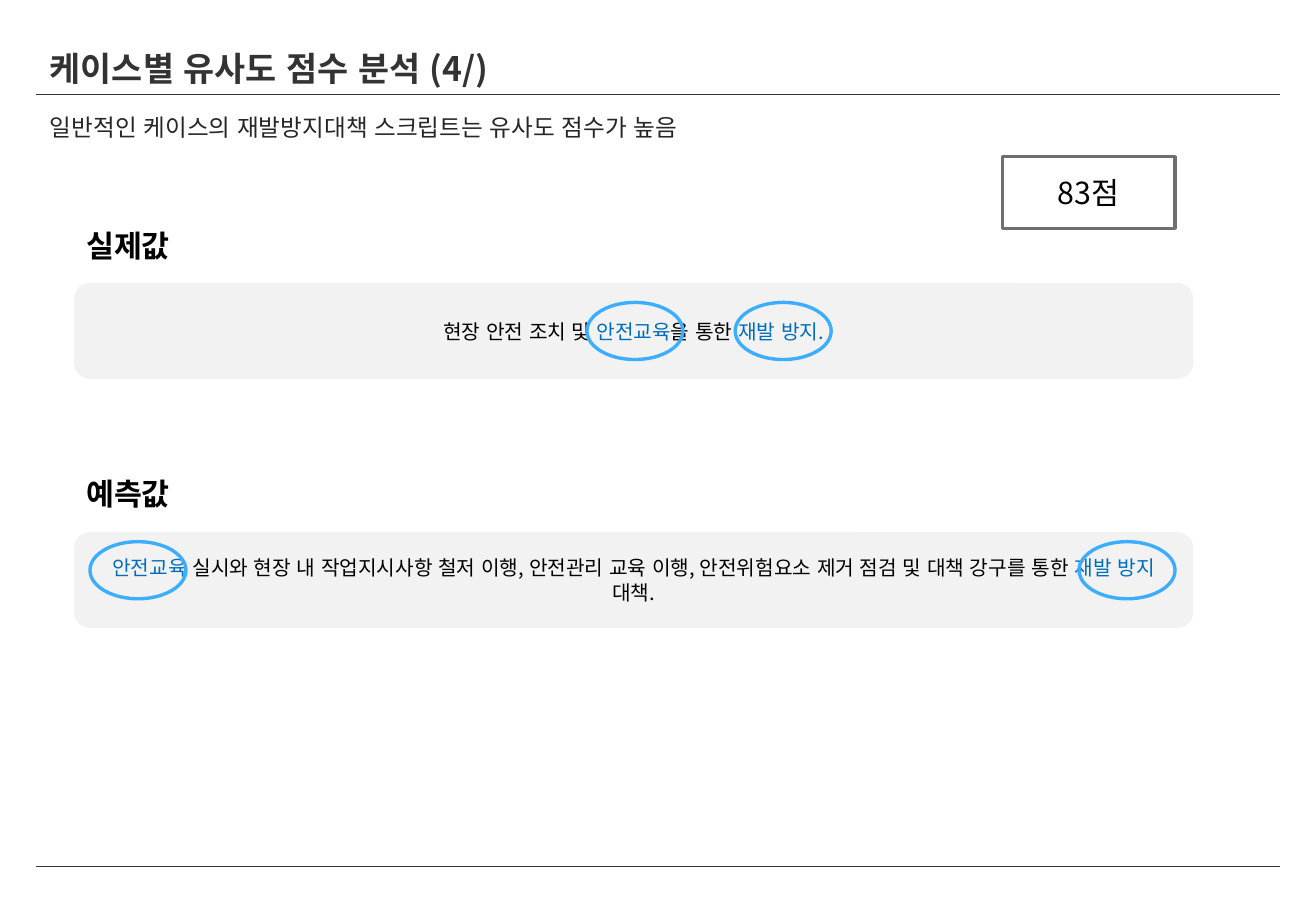
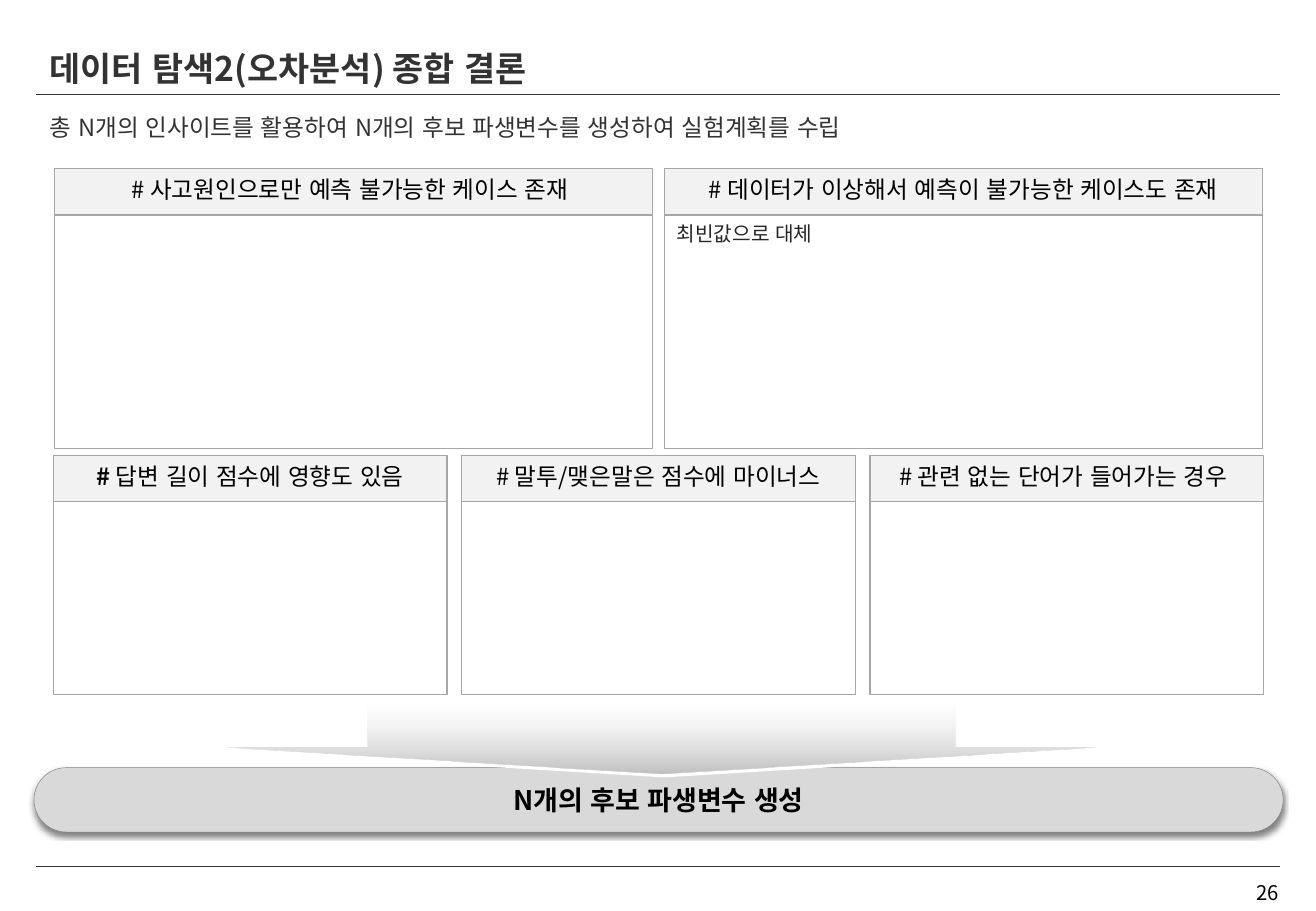
from dataclasses import dataclass

from lxml.etree import SubElement
from pptx import Presentation
from pptx.dml.color import RGBColor
from pptx.enum.lang import MSO_LANGUAGE_ID
from pptx.enum.shapes import MSO_CONNECTOR, MSO_SHAPE
from pptx.enum.text import MSO_ANCHOR, MSO_AUTO_SIZE, PP_ALIGN
from pptx.oxml import parse_xml
from pptx.oxml.ns import nsdecls, qn
from pptx.util import Inches, Pt


@dataclass(frozen=True)
class Theme:
    font: str = "Noto Sans CJK KR"
    title: str = "333333"
    lead: str = "262626"
    text: str = "000000"
    accent: str = "006DBB"
    ring: str = "3DAEFF"
    soft: str = "F2F2F2"
    white: str = "FFFFFF"
    score_edge: str = "6F6F6F"
    panel_edge: str = "A6A6A6"
    pill: str = "D9D9D9"
    pill_edge: str = "808080"
    title_size: int = 20
    heading_size: int = 18
    conclusion_size: int = 16
    lead_size: int = 14
    body_size: int = 12


THEME = Theme()
KEY = {"color": THEME.accent}
RULES = (0.78, 7.13)

SCORE_SLIDE = {
    "title": "케이스별 유사도 점수 분석 (4/)",
    "lead": "일반적인 케이스의 재발방지대책 스크립트는 유사도 점수가 높음",
    "lead_color": THEME.lead,
    "lead_box": (0.3, 0.83, 10.24, 0.94),
}
SCORE = "83점"
CASES = [
    {
        "label": "실제값", "label_top": 1.82, "label_fill": None,
        "top": 2.33, "ring_top": 2.49, "rings": (4.83, 6.05),
        "runs": [("현장 안전 조치 및 ", {}), ("안전교육", KEY), ("을 통한 ", {}), ("재발 방지.", KEY)],
    },
    {
        "label": "예측값", "label_top": 3.86, "label_fill": THEME.white,
        "top": 4.38, "ring_top": 4.46, "rings": (0.74, 8.88),
        "runs": [
            ("안전교육", KEY),
            (" 실시와 현장 내 작업지시사항 철저 이행, 안전관리 교육 이행, "
             "안전위험요소 제거 점검 및 대책 강구를 통한 ", {}),
            ("재발 방지 ", KEY),
            ("대책.", {}),
        ],
    },
]

CONCLUSION_SLIDE = {
    "title": "데이터 탐색2(오차분석) 종합 결론",
    "lead": "총 N개의 인사이트를 활용하여 N개의 후보 파생변수를 생성하여 실험계획를 수립",
    "lead_color": THEME.title,
    "lead_box": (0.3, 0.83, 10.32, 0.52),
}
PANEL_ROWS = [
    {
        "left": 0.45, "top": 1.39, "width": 4.92, "gap": 0.1, "height": 1.92, "fill": None,
        "panels": [
            ([("# 사고원인으로만 예측 불가능한 케이스 존재 ", {})], ""),
            ([("# 데이터가 이상해서 예측이 불가능한 케이스도 존재", {})], "최빈값으로 대체"),
        ],
    },
    {
        "left": 0.44, "top": 3.75, "width": 3.24, "gap": 0.12, "height": 1.59, "fill": THEME.white,
        "panels": [
            ([("# ", {"bold": True}), ("답변 길이 점수에 영향도 있음", {})], ""),
            ([("# 말투/맺은말은 점수에 마이너스", {})], ""),
            ([("# 관련 없는 단어가 들어가는 경우 ", {})], ""),
        ],
    },
]
PANEL_HEADER_HEIGHT = 0.38
CONCLUSION = "N개의 후보 파생변수 생성"
PAGE_NUMBER = "26"
ARROW_STOPS = [(0, "808080", 50), (50, "B7B7B7", 31), (100, "D9D9D9", 3)]


def apply(target, values):
    for name, value in values.items():
        setattr(target, name, value)


def write(shape, runs, size, color=THEME.text, bold=False, align=PP_ALIGN.LEFT,
          line_spacing=None, **frame_format):
    frame = shape.text_frame
    apply(frame, {"word_wrap": True, "auto_size": MSO_AUTO_SIZE.NONE, **frame_format})
    paragraph = frame.paragraphs[0]
    apply(paragraph, {"alignment": align, "line_spacing": line_spacing, "space_before": Pt(0)})
    for text, changes in runs:
        style = {"color": color, "bold": bold, **changes}
        run = paragraph.add_run()
        run.text = text
        apply(run.font, {"name": THEME.font, "size": Pt(size), "bold": style["bold"],
                         "language_id": MSO_LANGUAGE_ID.KOREAN})
        run.font.color.rgb = RGBColor.from_string(style["color"])
        SubElement(run.font._element, qn("a:ea")).set("typeface", THEME.font)
    return paragraph


def add_box(slide, kind, box, fill=None, edge=None, weight=0.75):
    shape = slide.shapes.add_shape(kind, *map(Inches, box))
    shape.shadow.inherit = False
    if fill:
        shape.fill.solid()
        shape.fill.fore_color.rgb = RGBColor.from_string(fill)
    else:
        shape.fill.background()
    if edge:
        shape.line.color.rgb = RGBColor.from_string(edge)
        shape.line.width = Pt(weight)
    else:
        shape.line.fill.background()
    return shape


def place(shape, box):
    apply(shape, dict(zip(("left", "top", "width", "height"), map(Inches, box))))


def start_slide(deck, content):
    slide = deck.slides.add_slide(deck.slide_layouts[1])
    for y in RULES:
        rule = slide.shapes.add_connector(
            MSO_CONNECTOR.STRAIGHT, Inches(0.3), Inches(y), Inches(10.53), Inches(y))
        rule.line.color.rgb = RGBColor.from_string(THEME.title)
        rule.line.width = Pt(0.5)
        SubElement(rule._element.spPr, qn("a:effectLst"))
    title, lead = slide.placeholders
    place(title, (0.31, 0.41, 6.67, 0.3))
    write(title, [(content["title"], {})], THEME.title_size, THEME.title, True,
          vertical_anchor=MSO_ANCHOR.MIDDLE)
    place(lead, content["lead_box"])
    paragraph = write(lead, [(content["lead"], {})], THEME.lead_size, content["lead_color"],
                      line_spacing=1.2, vertical_anchor=MSO_ANCHOR.TOP)
    properties = paragraph._p.get_or_add_pPr()
    properties.set("marL", "0")
    properties.set("indent", str(Inches(0.01)))
    SubElement(properties, qn("a:buNone"))
    return slide


def build_scores(deck):
    slide = start_slide(deck, SCORE_SLIDE)
    centred = {"align": PP_ALIGN.CENTER, "vertical_anchor": MSO_ANCHOR.MIDDLE}
    score = add_box(slide, MSO_SHAPE.RECTANGLE, (8.25, 1.29, 1.42, 0.59),
                    THEME.white, THEME.score_edge, 2)
    write(score, [(SCORE, {})], THEME.heading_size, **centred)
    for case in CASES:
        label = add_box(slide, MSO_SHAPE.RECTANGLE, (0.61, case["label_top"], 0.91, 0.4),
                        case["label_fill"])
        write(label, [(case["label"], {})], THEME.heading_size, bold=True, word_wrap=False,
              auto_size=MSO_AUTO_SIZE.SHAPE_TO_FIT_TEXT, vertical_anchor=MSO_ANCHOR.TOP)
        sentence = add_box(slide, MSO_SHAPE.ROUNDED_RECTANGLE,
                           (0.61, case["top"], 9.21, 0.79), THEME.soft)
        write(sentence, case["runs"], THEME.body_size, **centred,
              margin_left=Inches(0.15), margin_right=Inches(0.15))
        for left in case["rings"]:
            add_box(slide, MSO_SHAPE.OVAL, (left, case["ring_top"], 0.79, 0.47),
                    edge=THEME.ring, weight=2)


def add_panels(slide, row):
    for index, (heading, note) in enumerate(row["panels"]):
        left = row["left"] + index * (row["width"] + row["gap"])
        header = add_box(slide, MSO_SHAPE.RECTANGLE,
                         (left, row["top"], row["width"], PANEL_HEADER_HEIGHT),
                         THEME.soft, THEME.panel_edge)
        write(header, heading, THEME.lead_size, align=PP_ALIGN.CENTER,
              vertical_anchor=MSO_ANCHOR.TOP)
        panel = add_box(slide, MSO_SHAPE.RECTANGLE,
                        (left, row["top"] + PANEL_HEADER_HEIGHT, row["width"], row["height"]),
                        row["fill"], THEME.panel_edge)
        if note:
            write(panel, [(note, {})], THEME.body_size, THEME.lead,
                  vertical_anchor=MSO_ANCHOR.TOP)


def add_conclusion(slide):
    pill = add_box(slide, MSO_SHAPE.ROUNDED_RECTANGLE, (0.28, 6.32, 10.28, 0.53),
                   THEME.pill, THEME.pill_edge, 0.25)
    pill.adjustments[0] = 0.5
    pill._element.spPr.find(qn("a:effectLst")).append(parse_xml(
        f'<a:outerShdw {nsdecls("a")} blurRad="{Pt(3)}" dist="{Pt(2)}" dir="5400000" '
        'algn="t" rotWithShape="0"><a:srgbClr val="000000"><a:alpha val="50000"/>'
        '</a:srgbClr></a:outerShdw>'))
    write(pill, [(CONCLUSION, {})], THEME.conclusion_size, bold=True, align=PP_ALIGN.CENTER,
          word_wrap=False, vertical_anchor=MSO_ANCHOR.MIDDLE)

    stops = "".join(
        f'<a:gs pos="{position * 1000}"><a:srgbClr val="{color}">'
        f'<a:alpha val="{opacity * 1000}"/></a:srgbClr></a:gs>'
        for position, color, opacity in ARROW_STOPS)
    gradient = parse_xml(
        f'<a:gradFill {nsdecls("a")} rotWithShape="1"><a:gsLst>{stops}</a:gsLst>'
        '<a:lin ang="0" scaled="0"/></a:gradFill>')
    for left, top, fill in ((5.18, 2.53, THEME.white), (5.16, 2.5, None)):
        arrow = add_box(slide, MSO_SHAPE.LEFT_ARROW, (left, top, 0.57, 7.17), fill)
        arrow.rotation = 270
        arrow.adjustments[0] = 0.674
        arrow.adjustments[1] = 0.383
        if not fill:
            properties = arrow._element.spPr
            properties.replace(properties.find(qn("a:noFill")), gradient)


def build_conclusion(deck):
    slide = start_slide(deck, CONCLUSION_SLIDE)
    add_conclusion(slide)
    for row in PANEL_ROWS:
        add_panels(slide, row)
    page = slide.shapes.add_textbox(*map(Inches, (8.09, 7.2, 2.53, 0.29)))
    write(page, [(PAGE_NUMBER, {})], THEME.body_size, align=PP_ALIGN.RIGHT)


def main():
    deck = Presentation()
    apply(deck, {"slide_width": Inches(10.83), "slide_height": Inches(7.5)})
    build_scores(deck)
    build_conclusion(deck)
    deck.save("out.pptx")


if __name__ == "__main__":
    main()
